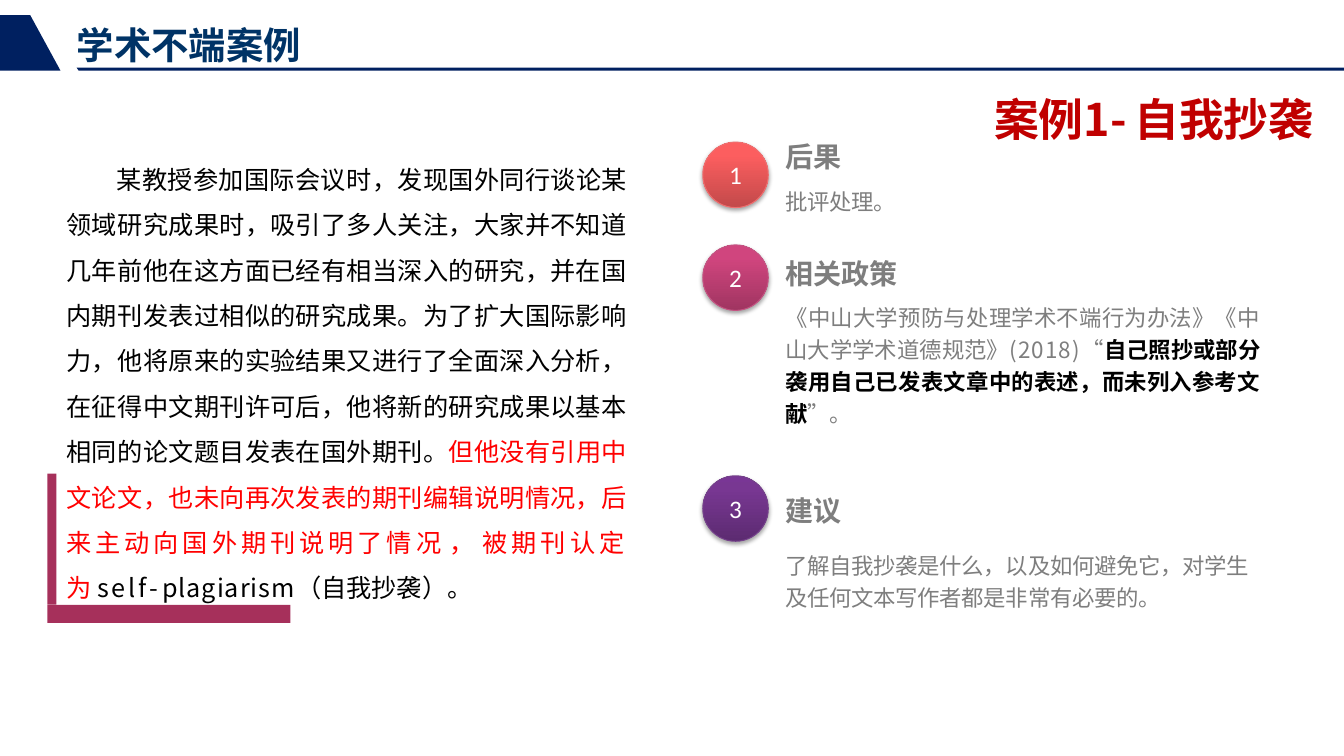
from copy import deepcopy
from dataclasses import dataclass

from lxml.etree import SubElement
from pptx import Presentation
from pptx.dml.color import RGBColor
from pptx.enum.shapes import MSO_SHAPE as Shape
from pptx.enum.text import MSO_ANCHOR as Anchor, PP_ALIGN as Align
from pptx.oxml.ns import qn
from pptx.util import Inches, Pt


@dataclass(frozen=True)
class Theme:
    face: str = "Noto Sans CJK SC"
    number_face: str = "Calibri"
    navy: str = "002060"
    title: str = "003366"
    crimson: str = "C00000"
    red: str = "FF0000"
    plum: str = "A6305B"
    grey: str = "7E7E7E"
    black: str = "000000"
    white: str = "FFFFFF"
    title_size: float = 26.7
    case_size: float = 32
    heading_size: float = 20
    story_size: float = 18
    note_size: float = 16


THEME = Theme()

STORY = [
    ("某教授参加国际会议时，发现国外同行谈论某领域研究成果时，吸引了多人关注，"
     "大家并不知道几年前他在这方面已经有相当深入的研究，并在国内期刊发表过相似的研究成果。"
     "为了扩大国际影响力，他将原来的实验结果又进行了全面深入分析，在征得中文期刊许可后，"
     "他将新的研究成果以基本相同的论文题目发表在国外期刊。", {}),
    ("但他没有引用中文论文，也未向再次发表的期刊编辑说明情况，后", {"color": THEME.red}),
    ("来主动向国外期刊说明了情", {"color": THEME.red, "tracking": 1.9}),
    ("况 ， ", {"color": THEME.red}),
    ("被期刊认定", {"color": THEME.red, "tracking": 1.9}),
    ("为 ", {"color": THEME.red}),
    ("self", {"tracking": 1.9}),
    ("-", {"tracking": 3}),
    ("plagiarism", {"tracking": 0.7}),
    ("（自我抄袭）。", {}),
]

# Badge top, heading top and note top are measured from the top of the panel.
POINTS = [
    {"heading": "后果", "tops": (0.03, 0, 0.43), "align": Align.LEFT,
     "gradient": ("C2494A", "FC5E5F", "FF5D5E"), "rim": "EF6E6F",
     "note": [("批评处理。", {})]},
    {"heading": "相关政策", "tops": (1.05, 1.16, 1.58), "align": Align.JUSTIFY,
     "gradient": ("A03561", "D0457E", "D3437E"), "rim": "C45382",
     "note": [("《中山大学预防与处理学术不端行为办法》《中山大学学术道德规范》", {}),
              ("(2018)", {"tracking": 0.8}),
              ("“", {}),
              ("自己照抄或部分袭用自己已发表文章中的表述，而未列入参考文献",
               {"color": THEME.black, "bold": True}),
              ("”。", {})]},
    {"heading": "建议", "tops": (3.34, 3.52, 4.04), "align": Align.LEFT,
     "gradient": ("5C2B71", "783792", "793695"), "rim": "75418B",
     "note": [("了解自我抄袭是什么，以及如何避免它，对学生及任何文本写作者都是非常有必要的。", {})]},
]


def rgb(value):
    return RGBColor.from_string(value)


def paint(shape, color):
    shape.shadow.inherit = False
    shape.fill.solid()
    shape.fill.fore_color.rgb = rgb(color)
    shape.line.fill.background()


def write(frame, runs, size, color, bold=False, tracking=0, leading=None,
          align=Align.LEFT, indent=0):
    """Fill a frame with one paragraph; each run may override colour, weight, tracking."""
    layout = {"word_wrap": True, "vertical_anchor": Anchor.TOP, "margin_left": 0,
              "margin_right": 0, "margin_top": 0, "margin_bottom": 0}
    for name, value in layout.items():
        setattr(frame, name, value)
    paragraph = frame.paragraphs[0]
    paragraph.alignment = align
    if leading:
        paragraph.line_spacing = Pt(leading)
    if indent:
        paragraph._p.get_or_add_pPr().set("indent", str(Inches(indent)))
    for words, style in runs:
        look = {"color": color, "bold": bold, "tracking": tracking, **style}
        run = paragraph.add_run()
        run.text = words
        for name, value in {"size": Pt(size), "bold": look["bold"], "name": THEME.face}.items():
            setattr(run.font, name, value)
        run.font.color.rgb = rgb(look["color"])
        properties = run._r.get_or_add_rPr()
        properties.set("spc", str(round(look["tracking"] * 100)))
        SubElement(properties, qn("a:ea"), typeface=THEME.face)


def add_text(slide, left, top, width, height, runs, size, color, **style):
    box = slide.shapes.add_textbox(*map(Inches, (left, top, width, height)))
    write(box.text_frame, runs, size, color, **style)


def add_outline(slide, points, color):
    start, *rest = [(Inches(x), Inches(y)) for x, y in points]
    builder = slide.shapes.build_freeform(*start)
    builder.add_line_segments(rest, close=True)
    paint(builder.convert_to_shape(), color)


def header(slide, left, top, width, height):
    bottom = top + height
    add_outline(slide, [(left, top), (left + 0.3, top), (left + 0.6, bottom), (left, bottom)],
                THEME.navy)
    add_outline(slide, [(left + 0.76, bottom - 0.03), (left + width, bottom - 0.03),
                        (left + width, bottom), (left + 0.78, bottom)], THEME.navy)
    title = slide.shapes.title
    place = {"left": left + 0.76, "top": top + 0.07, "width": 3.18, "height": 0.45}
    for name, value in place.items():
        setattr(title, name, Inches(value))
    write(title.text_frame, [("学术不端案例", {})], THEME.title_size, THEME.title,
          bold=True, leading=32)


def case_label(slide, left, top, width, height):
    runs = [("案例", {}), ("1", {"tracking": -1.8}), ("-", {"tracking": 5.3}), ("自我抄袭", {})]
    add_text(slide, left, top, width, height, runs, THEME.case_size, THEME.crimson,
             bold=True, leading=37.5)


def story(slide, left, top, width, height):
    """Case text with an L-shaped accent at its lower left corner."""
    corner, floor = left - 0.19, top + height
    for bar in [(corner, floor - 1.3, 0.09, 1.3), (corner, floor, 2.41, 0.18)]:
        paint(slide.shapes.add_shape(Shape.RECTANGLE, *map(Inches, bar)), THEME.plum)
    add_text(slide, left, top, width, height, STORY, THEME.story_size, THEME.black,
             leading=32.4, align=Align.JUSTIFY, indent=0.5)


def badge(slide, left, top, size, number, gradient, rim):
    circle = slide.shapes.add_shape(Shape.FLOWCHART_CONNECTOR,
                                    *map(Inches, (left, top, size, size)))
    circle.fill.gradient()
    circle.fill.gradient_angle = 90
    stop_list = circle._element.spPr.find(".//" + qn("a:gsLst"))
    stop_list.append(deepcopy(stop_list[-1]))
    for stop, color, position in zip(circle.fill.gradient_stops, gradient, (0, 0.8, 1)):
        stop.color.rgb = rgb(color)
        stop.position = position
    circle.line.color.rgb = rgb(rim)
    circle.line.width = Pt(0.75)

    circle.shadow.inherit = False
    effects = circle._element.spPr.find(qn("a:effectLst"))
    shadow = SubElement(effects, qn("a:outerShdw"), blurRad=str(Pt(3.1)), dist=str(Pt(1.8)),
                        dir="5400000", rotWithShape="0")
    tint = SubElement(shadow, qn("a:srgbClr"), val=THEME.black)
    SubElement(tint, qn("a:alpha"), val="35000")

    circle.text_frame.vertical_anchor = Anchor.MIDDLE
    paragraph = circle.text_frame.paragraphs[0]
    paragraph.alignment = Align.CENTER
    paragraph.text = str(number)
    for name, value in {"size": Pt(THEME.story_size), "name": THEME.number_face}.items():
        setattr(paragraph.font, name, value)
    paragraph.font.color.rgb = rgb(THEME.white)


def findings(slide, left, top, width):
    """Numbered points: badge, heading and note."""
    text_left, text_width = left + 0.82, width - 0.82
    for number, point in enumerate(POINTS, 1):
        badge_top, heading_top, note_top = (top + offset for offset in point["tops"])
        badge(slide, left, badge_top, 0.65, number, point["gradient"], point["rim"])
        add_text(slide, text_left, heading_top, text_width, 0.35, [(point["heading"], {})],
                 THEME.heading_size, THEME.grey, bold=True, leading=24)
        add_text(slide, text_left, note_top, text_width, 0.65, point["note"], THEME.note_size,
                 THEME.grey, tracking=-0.2, leading=23, align=point["align"])


def main():
    deck = Presentation()
    deck.slide_width, deck.slide_height = Inches(13.33), Inches(7.5)
    slide = deck.slides.add_slide(deck.slide_layouts[5])
    header(slide, 0, 0.15, 13.33, 0.55)
    story(slide, 0.66, 1.48, 5.56, 4.52)
    case_label(slide, 9.86, 0.92, 3.47, 0.52)
    findings(slide, 6.97, 1.38, 5.53)
    deck.save("out.pptx")


if __name__ == "__main__":
    main()
